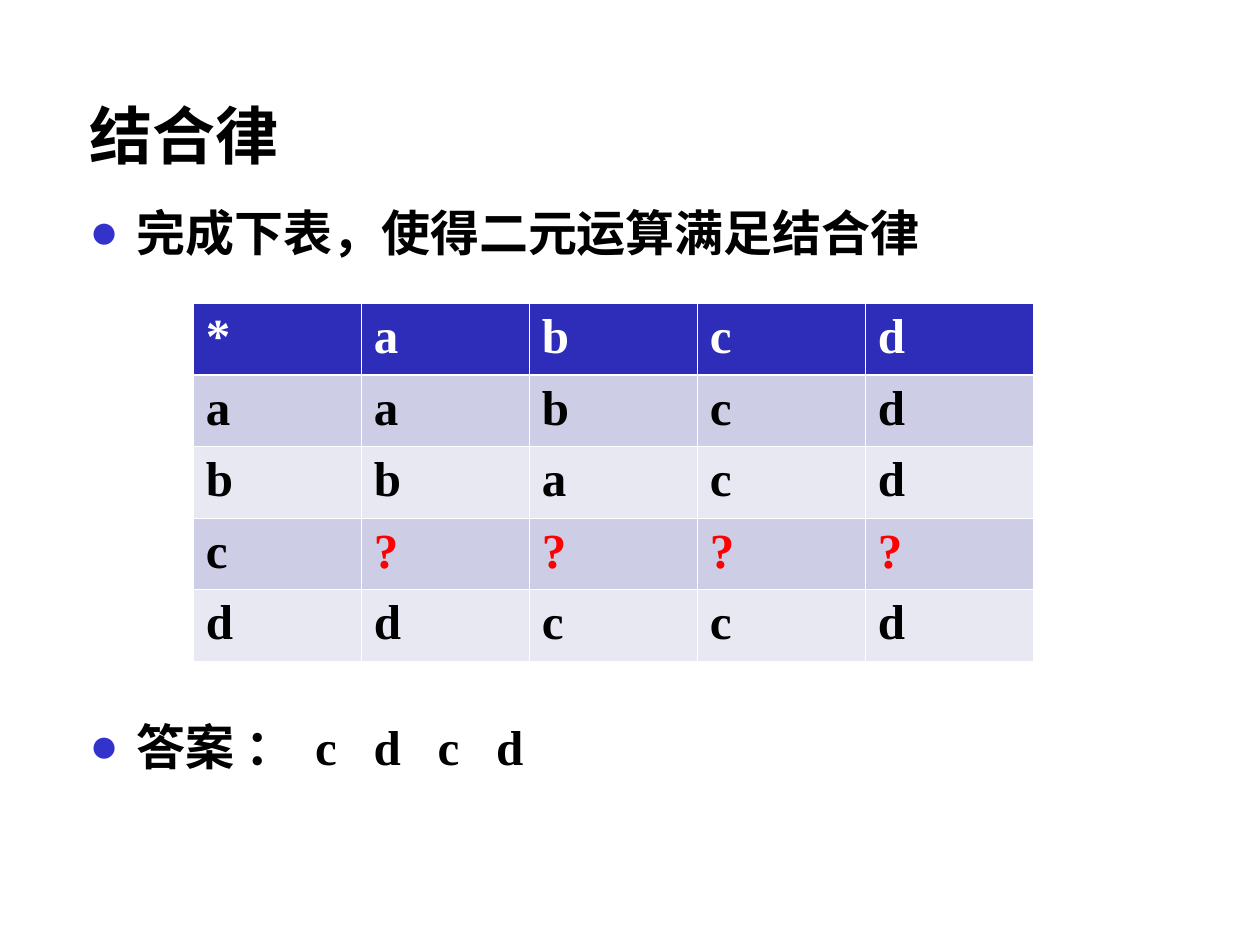
from dataclasses import dataclass

from lxml.etree import SubElement
from pptx import Presentation
from pptx.dml.color import RGBColor
from pptx.enum.text import MSO_ANCHOR
from pptx.oxml.ns import qn
from pptx.util import Pt


@dataclass(frozen=True)
class Theme:
    black: str = "000000"
    white: str = "FFFFFF"
    red: str = "FF0000"
    bullet: str = "3333CC"
    header: str = "2D2DB9"
    bands: tuple = ("CDCDE6", "E8E8F3")
    chinese: str = "Noto Sans CJK SC"
    latin: str = "Times New Roman"
    title_size: int = 36
    body_size: int = 28
    thin_line: float = 0.45
    thick_line: float = 1.47


THEME = Theme()
OPERATION = ["*abcd", "aabcd", "bbacd", "c????", "ddccd"]


def add_span(para, text, font_name, size, color=THEME.black):
    span = para.add_run()
    span.text = text
    span.font.name = font_name
    span.font.size = Pt(size)
    span.font.bold = True
    span.font.color.rgb = RGBColor.from_string(color)
    if font_name == THEME.chinese:
        properties = span.font._element
        SubElement(properties, qn("a:ea"), typeface=font_name)


def add_text_box(page, left, top, width, height, anchor=MSO_ANCHOR.TOP):
    box = page.shapes.add_textbox(Pt(left), Pt(top), Pt(width), Pt(height))
    box.text_frame.word_wrap = True
    box.text_frame.vertical_anchor = anchor
    return box.text_frame.paragraphs[0]


def add_title(page, left, top, width, height):
    para = add_text_box(page, left, top, width, height, MSO_ANCHOR.MIDDLE)
    add_span(para, "结合律", THEME.chinese, THEME.title_size)


def add_bullet_line(page, left, top, width, height, tab_stops=()):
    para = add_text_box(page, left, top, width, height)
    properties = para._p.get_or_add_pPr()
    properties.set("marL", str(Pt(27)))
    properties.set("indent", str(Pt(-27)))
    color = SubElement(properties, qn("a:buClr"))
    SubElement(color, qn("a:srgbClr"), val=THEME.bullet)
    SubElement(properties, qn("a:buFont"), typeface=THEME.latin)
    SubElement(properties, qn("a:buChar"), char="●")
    if tab_stops:
        tabs = SubElement(properties, qn("a:tabLst"))
        for stop in tab_stops:
            SubElement(tabs, qn("a:tab"), pos=str(Pt(stop)), algn="l")
    return para


def add_task(page, left, top, width, height):
    para = add_bullet_line(page, left, top, width, height)
    add_span(para, "完成下表，使得二元运算满足结合律", THEME.chinese, THEME.body_size)


def add_answer(page, left, top, width, height):
    stops = (129, 162.5, 199, 232.5)
    para = add_bullet_line(page, left, top, width, height, stops)
    add_span(para, "答案 ：", THEME.chinese, THEME.body_size)
    for letter in "cdcd":
        add_span(para, "\t" + letter, THEME.latin, THEME.body_size)


def set_borders(cell, widths):
    """Draw white lines; widths maps each side's tag to points."""
    properties = cell._tc.get_or_add_tcPr()
    for position, (side, width) in enumerate(widths.items()):
        line = properties.makeelement(qn(f"a:{side}"), {"w": str(Pt(width))})
        fill = SubElement(line, qn("a:solidFill"))
        SubElement(fill, qn("a:srgbClr"), val=THEME.white)
        properties.insert(position, line)


def add_operation_table(page, left, top, width, height):
    count = len(OPERATION)
    frame = page.shapes.add_table(
        count, count, Pt(left), Pt(top), Pt(width), Pt(height))
    table = frame.table
    for column in table.columns:
        column.width = Pt(width / count)
    for row_index, symbols in enumerate(OPERATION):
        table.rows[row_index].height = Pt(height / count)
        is_header = row_index == 0
        fill_color = THEME.header if is_header else THEME.bands[(row_index - 1) % 2]
        text_color = THEME.white if is_header else THEME.black
        widths = {
            "lnL": THEME.thin_line,
            "lnR": THEME.thin_line,
            "lnT": THEME.thick_line if row_index == 1 else THEME.thin_line,
            "lnB": THEME.thick_line if is_header else THEME.thin_line,
        }
        for column_index, symbol in enumerate(symbols):
            cell = table.cell(row_index, column_index)
            cell.fill.solid()
            cell.fill.fore_color.rgb = RGBColor.from_string(fill_color)
            set_borders(cell, widths)
            add_span(cell.text_frame.paragraphs[0], symbol, THEME.latin,
                     THEME.body_size, THEME.red if symbol == "?" else text_color)


def main():
    deck = Presentation()
    deck.slide_width, deck.slide_height = Pt(720), Pt(540)
    page = deck.slides.add_slide(deck.slide_layouts[6])

    # Heading and task
    add_title(page, 44, 42, 631, 70)
    add_task(page, 44, 112, 654, 48)

    # Operation table
    add_operation_table(page, 110.5, 173.5, 480, 204.5)

    # Answer
    add_answer(page, 44, 406, 654, 48)

    deck.save("out.pptx")


if __name__ == "__main__":
    main()
